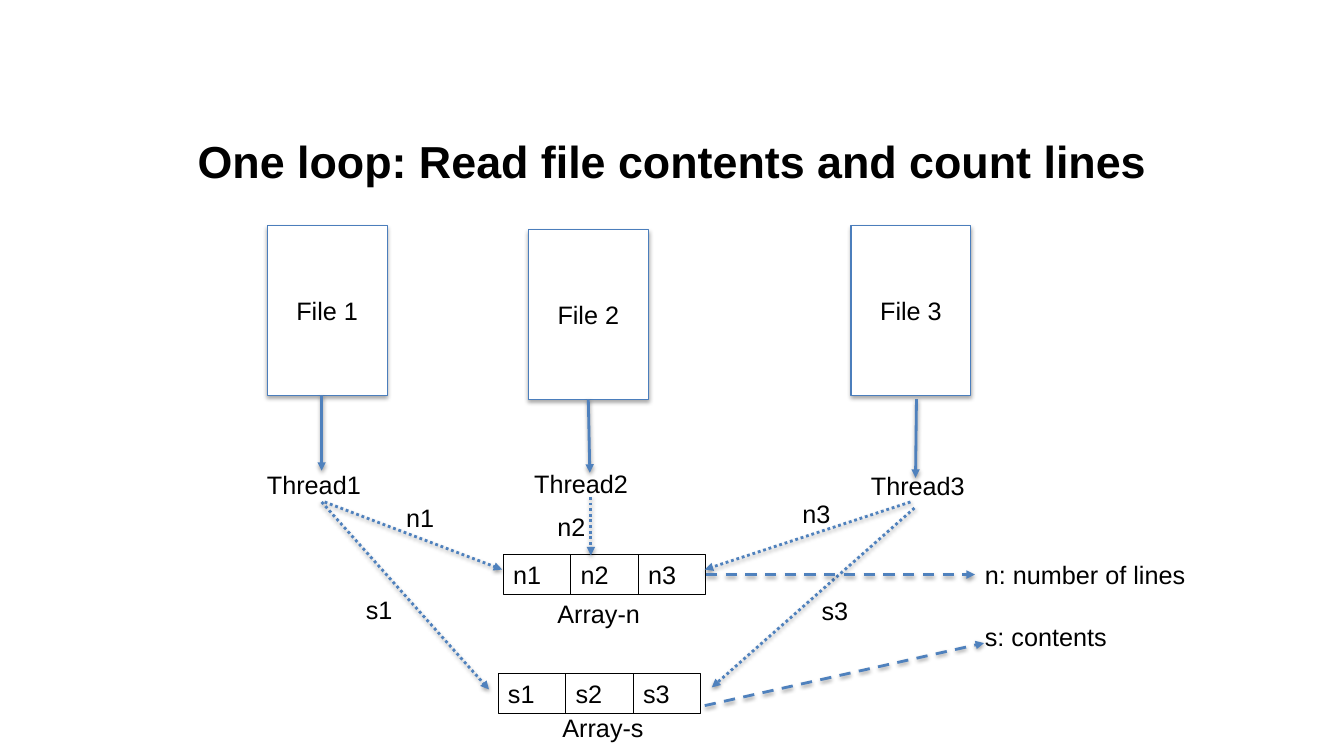
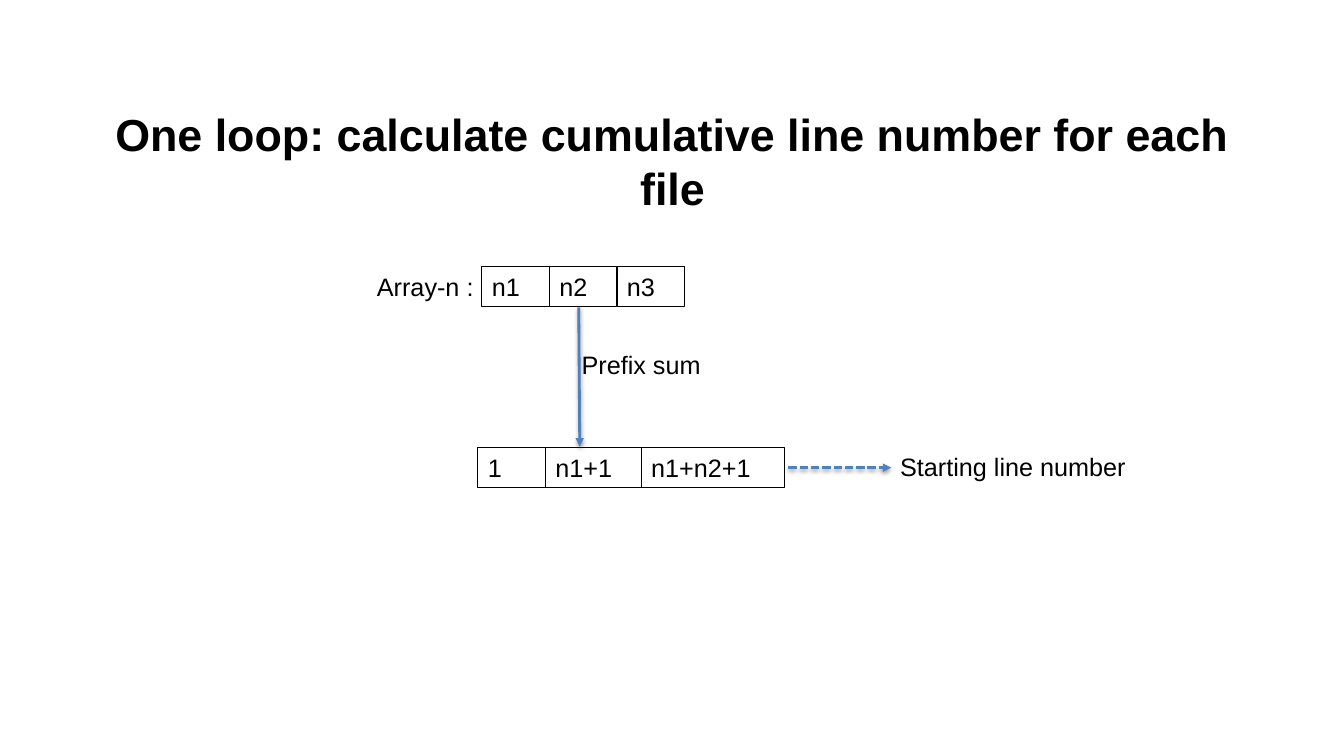
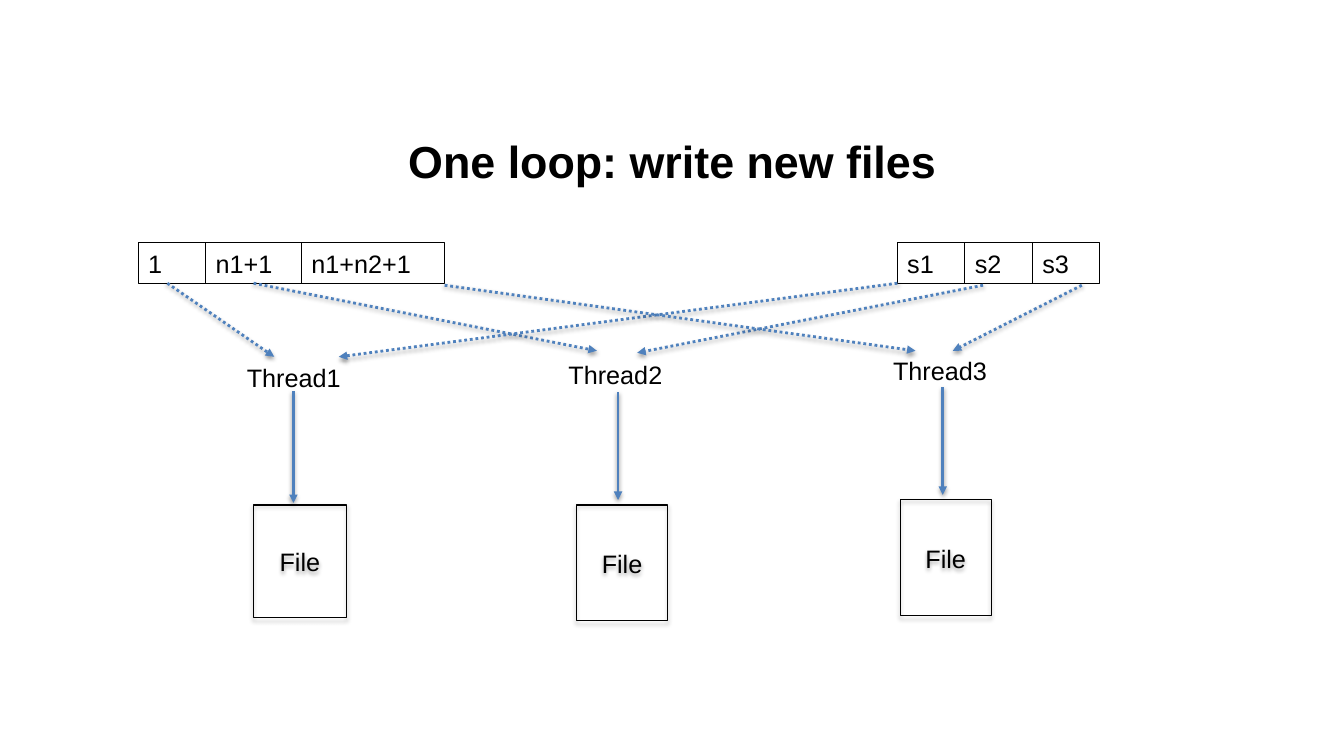
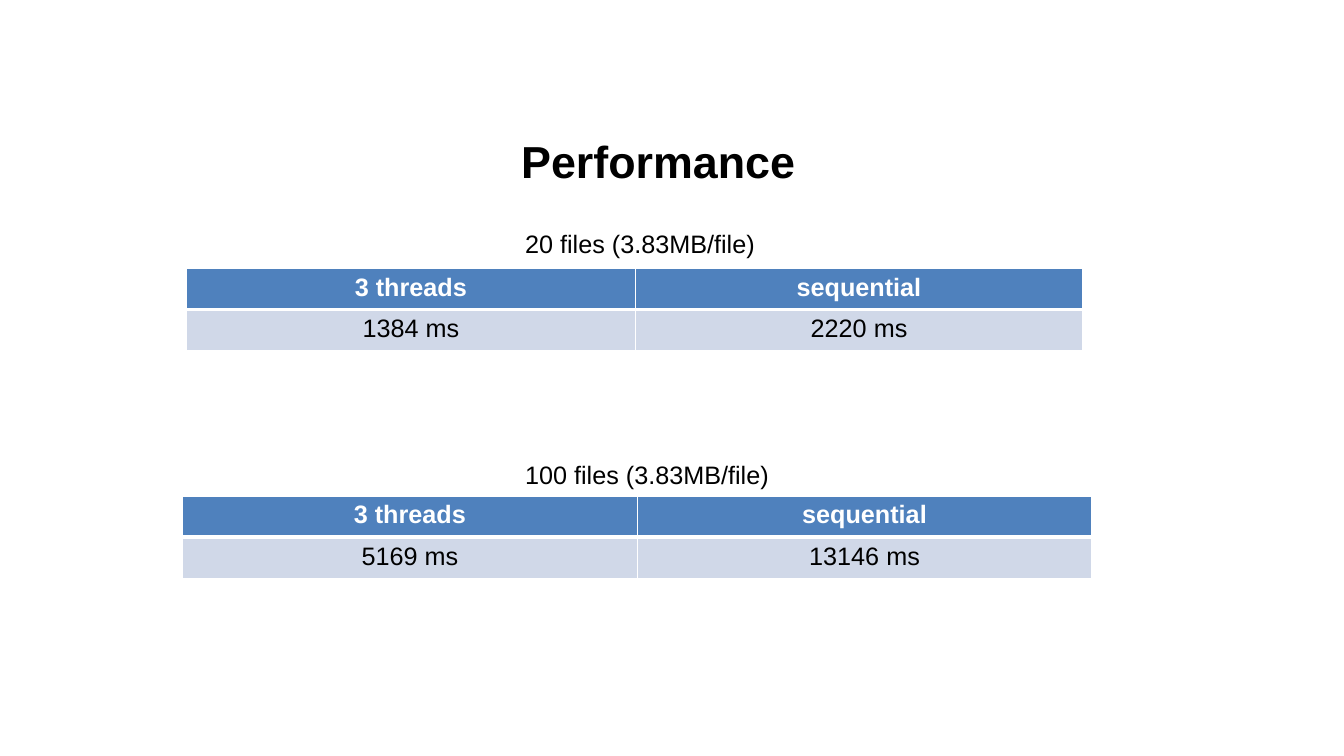
from itertools import accumulate
from lxml import etree
from pptx import Presentation
from pptx import util as u
from pptx.dml.color import RGBColor
from pptx.enum import dml, shapes, text
from pptx.oxml.ns import qn

PX = 9144
FONT = "Arial"
BLACK, WHITE = "000000", "FFFFFF"
BLUE, EDGE, PALE = "4F81BD", "4B7EBC", "D0D8E8"
DASH = dml.MSO_LINE.DASH
SHORT = dml.MSO_LINE.SQUARE_DOT
DOT = dml.MSO_LINE.ROUND_DOT
MID = text.PP_ALIGN.CENTER
ROW = 40
THIRD = [67, 67, 67]
SUMS = [67, 95, 142]


def px(*nums):
    return [u.Emu(n * PX) for n in nums]


def hue(code):
    return RGBColor.from_string(code)


def node(top, tag, **attrs):
    return etree.SubElement(top, qn("a:" + tag), attrs)


def style(frame, size=18, color=BLACK, bold=False, align=None):
    for para in frame.paragraphs:
        para.alignment = align
        for run in para.runs:
            font = run.font
            font.name, font.size, font.bold = FONT, u.Pt(size), bold
            font.color.rgb = hue(color)


def shade(props, blur, dist, alpha):
    for old in props.findall(qn("a:effectLst")):
        props.remove(old)
    cast = node(node(props, "effectLst"), "outerShdw",
                blurRad=str(u.Pt(blur)), dist=str(u.Pt(dist)),
                dir="5400000", algn="ctr", rotWithShape="0")
    node(node(cast, "srgbClr", val=BLACK), "alpha", val=str(alpha * 1000))


def label(slide, words, x, y, w, h=ROW, gap=0):
    box = slide.shapes.add_textbox(*px(x, y, w, h))
    frame = box.text_frame
    frame.word_wrap = True
    frame.text = words
    for para in frame.paragraphs[1:]:
        para.space_before = u.Pt(gap)
    style(frame)
    return frame


def title(deck, words, inset=10):
    slide = deck.slides.add_slide(deck.slide_layouts[6])
    frame = label(slide, words, 67, 115, 1200, 88)
    frame.vertical_anchor = text.MSO_ANCHOR.MIDDLE
    frame.margin_right = px(inset)[0]
    style(frame, 32, bold=True, align=MID)
    return slide


def rect(slide, words, x, y, w, h, line=BLACK, fill=None):
    box = slide.shapes.add_shape(shapes.MSO_SHAPE.RECTANGLE, *px(x, y, w, h))
    box.shadow.inherit = False
    if fill:
        box.fill.solid()
        box.fill.fore_color.rgb = hue(fill)
    else:
        box.fill.background()
    box.line.color.rgb = hue(line)
    box.line.width = u.Pt(0.75)
    box.text_frame.text = words
    style(box.text_frame, align=MID)
    return box


def file(slide, words, x, y, w, h, line=BLACK, fill=None):
    box = rect(slide, words, x, y, w, h, line, fill)
    shade(box.element.spPr, 3.1, 1.8, 35)
    return box


def array(slide, names, x, y, widths):
    cells = []
    lefts = accumulate(widths, initial=x)
    for name, left, w in zip(names, lefts, widths):
        cell = rect(slide, name, left, y, w, ROW)
        cell.text_frame.vertical_anchor = text.MSO_ANCHOR.TOP
        style(cell.text_frame, align=text.PP_ALIGN.LEFT)
        cells.append(cell)
    return cells


def arrow(slide, x1, y1, x2, y2, dash=None, start=None, side=0):
    link = slide.shapes.add_connector(
        shapes.MSO_CONNECTOR.STRAIGHT, *px(x1, y1, x2, y2))
    if start:
        link.begin_connect(start, side)
    link.line.color.rgb = hue(BLUE)
    link.line.width = u.Pt(2)
    if dash:
        link.line.dash_style = dash
    props = link.element.spPr
    node(props.find(qn("a:ln")), "tailEnd", type="triangle")
    shade(props, 3.1, 1.6, 38)


def edge(cell, **widths):
    props = cell._tc.get_or_add_tcPr()
    for side, width in widths.items():
        line = node(props, "ln" + side, w=str(u.Pt(width)))
        node(node(line, "solidFill"), "srgbClr", val=WHITE)


def grid(slide, rows, x, y, widths):
    frame = slide.shapes.add_table(
        len(rows), len(widths), *px(x, y, sum(widths), 41 * len(rows)))
    table = frame.table
    for col, w in zip(table.columns, widths):
        col.width = px(w)[0]
    for r, row in enumerate(rows):
        head = r == 0
        for c, words in enumerate(row):
            cell = table.cell(r, c)
            edge(cell, L=1, R=1, T=1 if head else 3, B=3 if head else 1)
            cell.fill.solid()
            cell.fill.fore_color.rgb = hue(BLUE if head else PALE)
            cell.text_frame.text = words
            style(cell.text_frame, 18, WHITE if head else BLACK, head, MID)


def read(deck):
    slide = title(deck, "One loop: Read file contents and count lines")
    files = [file(slide, f"File {i}", x, y, 119, 168, EDGE, WHITE)
             for i, x, y in [(1, 265, 224), (2, 524, 228), (3, 844, 224)]]
    arrow(slide, 319, 392, 319, 467)
    arrow(slide, 584, 396, 585, 469, start=files[1], side=2)
    arrow(slide, 909, 396, 908, 474)
    counts = array(slide, ["n1", "n2", "n3"], 499, 550, THIRD)
    array(slide, ["s1", "s2", "s3"], 494, 668, THIRD)
    for ends in [(586, 493, 586, 551), (903, 498, 699, 565),
                 (322, 498, 498, 565), (319, 498, 485, 684),
                 (907, 504, 706, 682)]:
        arrow(slide, *ends, DOT)
    arrow(slide, 700, 570, 967, 570, DASH, counts[2], 3)
    arrow(slide, 699, 700, 976, 638, DASH)
    for words, x, y, w in [
            ("Thread1", 255, 461, 156), ("Thread2", 520, 460, 156),
            ("Thread3", 854, 462, 156), ("n1", 393, 493, 49),
            ("n2", 543, 502, 49), ("n3", 786, 489, 49),
            ("s1", 353, 585, 57), ("s3", 805, 586, 57),
            ("Array-n", 543, 589, 119), ("Array-s", 548, 702, 119)]:
        label(slide, words, x, y, w)
    label(slide, "n: number of lines\ns: contents", 967, 550, 294, 101, 23)


def total(deck):
    slide = title(
        deck, "One loop: calculate cumulative line number for each file")
    array(slide, ["n1", "n2", "n3"], 478, 264, THIRD)
    array(slide, ["1", "n1+1", "n1+n2+1"], 474, 444, SUMS)
    arrow(slide, 574, 305, 575, 443)
    arrow(slide, 782, 464, 884, 464, SHORT)
    label(slide, "Prefix sum", 567, 342, 199)
    label(slide, "Array-n :", 364, 264, 119)
    label(slide, "Starting line number", 883, 443, 279)


def write(deck):
    slide = title(deck, "One loop: write new files")
    sums = array(slide, ["1", "n1+1", "n1+n2+1"], 137, 241, SUMS)
    array(slide, ["s1", "s2", "s3"], 890, 241, THIRD)
    arrow(slide, 251, 281, 592, 348, DOT, sums[1], 2)
    for ends in [(166, 281, 272, 354), (890, 281, 336, 354),
                 (975, 283, 632, 350), (441, 283, 908, 348),
                 (1073, 283, 945, 348)]:
        arrow(slide, *ends, DOT)
    for ends in [(291, 388, 291, 499), (613, 389, 613, 496),
                 (935, 384, 935, 491)]:
        arrow(slide, *ends)
    for spot in [(251, 501, 93, 112), (572, 501, 90, 115),
                 (893, 496, 90, 115)]:
        file(slide, "File", *spot)
    for i, x, y in [(1, 235, 355), (2, 554, 352), (3, 876, 348)]:
        label(slide, f"Thread{i}", x, y, 156)


def times(deck):
    slide = title(deck, "Performance", 38)
    head = ["3 threads", "sequential"]
    grid(slide, [head, ["1384 ms", "2220 ms"]], 185, 266, [445, 444])
    grid(slide, [head, ["5169 ms", "13146 ms"]], 181, 492, [451, 451])
    label(slide, "20 files (3.83MB/file)", 511, 222, 294)
    label(slide, "100 files (3.83MB/file)", 511, 451, 294)


def main():
    deck = Presentation()
    deck.slide_width, deck.slide_height = px(1333, 750)
    for build in (read, total, write, times):
        build(deck)
    deck.save("out.pptx")


if __name__ == "__main__":
    main()
